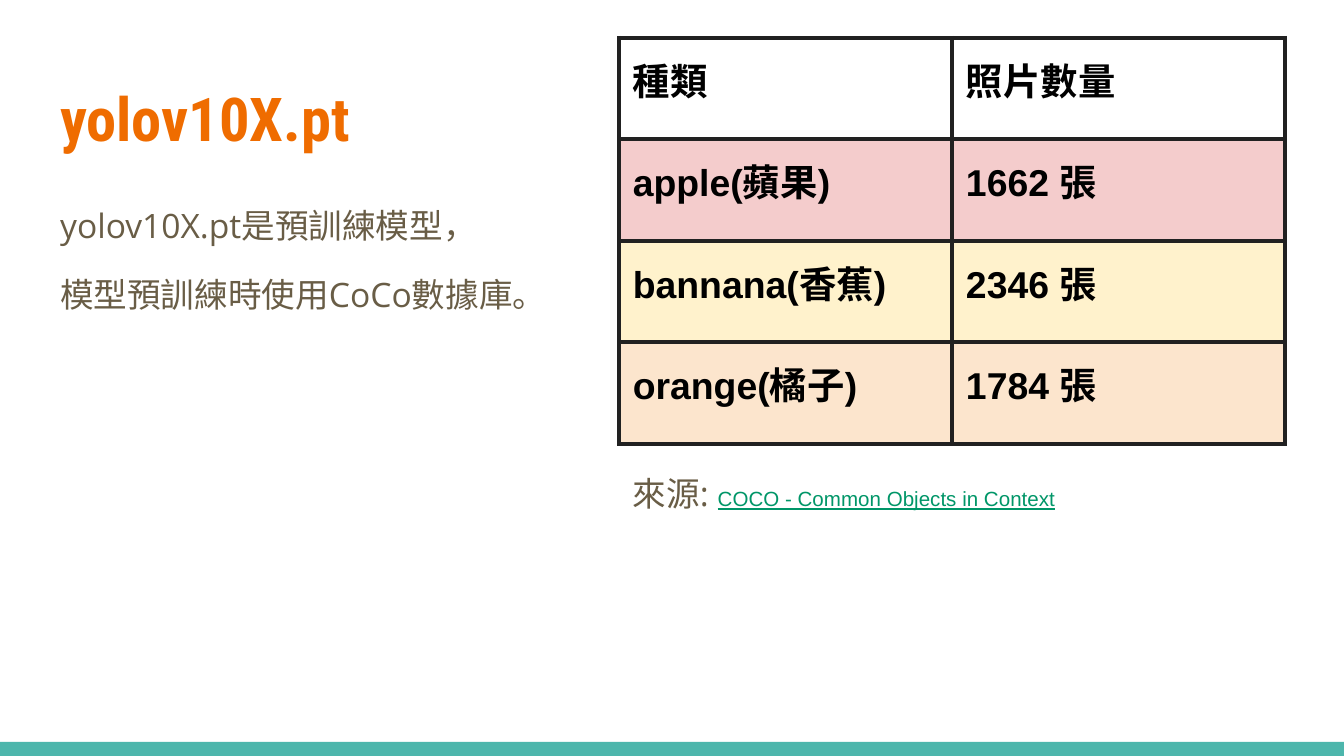
from collections import namedtuple
from dataclasses import dataclass

from lxml import etree
from pptx import Presentation
from pptx import util as u
from pptx.dml.color import RGBColor
from pptx.enum import shapes, text
from pptx.oxml import ns

PX = 9525  # EMU per px, 96 px to the inch
Box = namedtuple("Box", "left top width height")


@dataclass(frozen=True)
class Theme:
    title_font: str = "Roboto Condensed"
    body_font: str = "Open Sans"
    table_font: str = "Arial"
    title_size: float = 32.4
    body_size: float = 18
    table_size: float = 20
    link_size: float = 11
    border_width: float = 2.25
    inset: int = 10
    title: str = "EF6C00"
    body: str = "695D46"
    cell_text: str = "000000"
    link: str = "009668"
    border: str = "212121"
    bar: str = "4DB6AC"
    apple: str = "F4CCCC"
    banana: str = "FFF2CC"
    orange: str = "FCE5CD"


THEME = Theme()


def emu(box):
    return [length * PX for length in box]


def add_span(para, words, *, font, size, color, bold=False, underline=False):
    span = para.add_run()
    span.text = words
    span.font.name = font
    span.font.size = u.Pt(size)
    span.font.bold = bold
    span.font.underline = underline
    span.font.color.rgb = RGBColor.from_string(color)


def add_text_box(page, box, anchor=text.MSO_ANCHOR.TOP):
    frame = page.shapes.add_textbox(*emu(box)).text_frame
    frame.word_wrap = True
    frame.vertical_anchor = anchor
    frame.margin_left = frame.margin_right = THEME.inset * PX
    frame.margin_top = frame.margin_bottom = THEME.inset * PX
    return frame


def add_bottom_bar(page, box):
    bar = page.shapes.add_shape(shapes.MSO_SHAPE.RECTANGLE, *emu(box))
    bar.shadow.inherit = False
    bar.fill.solid()
    bar.fill.fore_color.rgb = RGBColor.from_string(THEME.bar)
    bar.line.fill.background()


def add_title(page, box, words):
    frame = add_text_box(page, box, text.MSO_ANCHOR.MIDDLE)
    add_span(frame.paragraphs[0], words, font=THEME.title_font,
             size=THEME.title_size, color=THEME.title, bold=True)


def add_body(page, box, lines):
    frame = add_text_box(page, box)
    for index, line in enumerate(lines):
        para = frame.add_paragraph() if index else frame.paragraphs[0]
        para.line_spacing = 1.15
        if index:
            para.space_before = para.space_after = u.Pt(12)
        add_span(para, line, font=THEME.body_font, size=THEME.body_size, color=THEME.body)


def set_borders(cell):
    """Draw all four cell edges; edges must come before the fill in the XML."""
    properties = cell._tc.get_or_add_tcPr()
    for index, edge in enumerate(("lnL", "lnR", "lnT", "lnB")):
        line = etree.Element(ns.qn(f"a:{edge}"), w=str(u.Pt(THEME.border_width)))
        fill = etree.SubElement(line, ns.qn("a:solidFill"))
        etree.SubElement(fill, ns.qn("a:srgbClr"), val=THEME.border)
        properties.insert(index, line)


def add_count_table(page, box, rows):
    """Each row is (fill colour or None, cell texts)."""
    column_count = len(rows[0][1])
    table = page.shapes.add_table(len(rows), column_count, *emu(box)).table
    table.first_row = table.horz_banding = False
    for row, (fill, words) in enumerate(rows):
        table.rows[row].height = box.height * PX // len(rows)
        for column, content in enumerate(words):
            cell = table.cell(row, column)
            cell.margin_left = cell.margin_right = THEME.inset * PX
            cell.margin_top = cell.margin_bottom = THEME.inset * PX
            if fill:
                cell.fill.solid()
                cell.fill.fore_color.rgb = RGBColor.from_string(fill)
            else:
                cell.fill.background()
            set_borders(cell)
            add_span(cell.text_frame.paragraphs[0], content, font=THEME.table_font,
                     size=THEME.table_size, color=THEME.cell_text, bold=True)


def add_source(page, box, label, name):
    para = add_text_box(page, box).paragraphs[0]
    add_span(para, label, font=THEME.body_font, size=THEME.body_size, color=THEME.body)
    add_span(para, name, font=THEME.table_font, size=THEME.link_size,
             color=THEME.link, underline=True)


def main():
    deck = Presentation()
    deck.slide_width, deck.slide_height = 960 * PX, 540 * PX
    page = deck.slides.add_slide(deck.slide_layouts[6])

    add_bottom_bar(page, Box(0, 530, 960, 10))
    add_title(page, Box(33, 47, 895, 74), "yolov10X.pt")
    add_body(page, Box(33, 132, 895, 347),
             ["yolov10X.pt是預訓練模型，", "模型預訓練時使用CoCo數據庫。"])
    add_count_table(page, Box(442, 27, 476, 290), [
        (None, ("種類", "照片數量")),
        (THEME.apple, ("apple(蘋果)", "1662 張")),
        (THEME.banana, ("bannana(香蕉)", "2346 張")),
        (THEME.orange, ("orange(橘子)", "1784 張")),
    ])
    add_source(page, Box(442, 328, 502, 57), "來源: ", "COCO - Common Objects in Context")

    deck.save("out.pptx")


if __name__ == "__main__":
    main()
